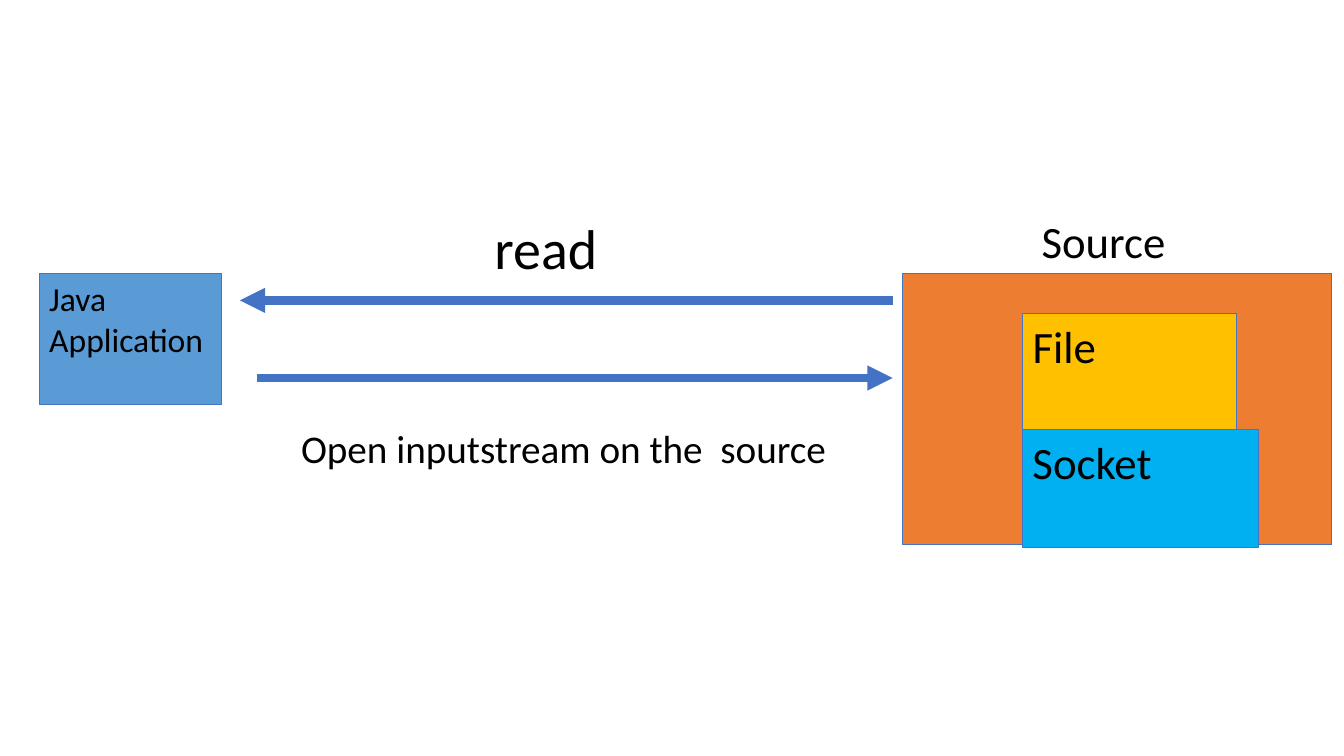
from dataclasses import dataclass

from pptx import Presentation
from pptx.dml.color import RGBColor
from pptx.enum import shapes as kinds, text as txt
from pptx.oxml.ns import qn
from pptx.slide import Slide
from pptx.util import Inches, Pt
from lxml import etree

COLORS = {
    "outline": "4472C4",
    "text": "000000",
    "source": "ED7D31",
    "file": "FFC000",
    "socket": "00B0F0",
    "application": "5B9BD5",
}
FONT = "Calibri"
FRAME_FORMAT = {
    "word_wrap": True,
    "auto_size": txt.MSO_AUTO_SIZE.NONE,
    "vertical_anchor": txt.MSO_ANCHOR.TOP,
    "margin_left": Inches(0.1),
    "margin_right": Inches(0.1),
    "margin_top": Inches(0.05),
    "margin_bottom": Inches(0.05),
}


@dataclass(frozen=True)
class Block:
    """A box with optional text; without a fill it is a plain label."""
    left: float
    top: float
    width: float
    height: float
    lines: tuple[str, ...] = ()
    size: int = 32
    fill: str | None = None


@dataclass(frozen=True)
class Arrow:
    start: float
    end: float
    y: float


BLOCKS = (
    Block(8.96, 2.71, 4.26, 2.69, fill="source"),
    Block(10.15, 3.11, 2.12, 1.17, ("File",), fill="file"),
    Block(10.15, 4.26, 2.34, 1.17, ("Socket",), fill="socket"),
    Block(10.24, 2.07, 2.73, 0.64, ("Source",)),
    Block(0.39, 2.71, 1.81, 1.3, ("Java", "Application"), 24, "application"),
    Block(4.81, 2.07, 1.49, 0.77, ("read",), 40),
    Block(2.89, 4.16, 5.56, 0.57, ("Open inputstream on the  source",), 28),
)
ARROWS = (Arrow(8.86, 2.38, 2.98), Arrow(2.55, 8.86, 3.75))


def color(name: str) -> RGBColor:
    return RGBColor.from_string(COLORS[name])


def write_lines(frame, block: Block) -> None:
    for attribute, value in FRAME_FORMAT.items():
        setattr(frame, attribute, value)
    frame.text = "\n".join(block.lines)
    for paragraph in frame.paragraphs:
        paragraph.alignment = txt.PP_ALIGN.LEFT
        for attribute, value in {"name": FONT, "size": Pt(block.size)}.items():
            setattr(paragraph.font, attribute, value)
        paragraph.font.color.rgb = color("text")


def draw_block(slide: Slide, block: Block) -> None:
    bounds = [Inches(n) for n in (block.left, block.top, block.width, block.height)]
    if block.fill:
        box = slide.shapes.add_shape(kinds.MSO_SHAPE.RECTANGLE, *bounds)
        box.shadow.inherit = False
        box.fill.solid()
        box.fill.fore_color.rgb = color(block.fill)
        box.line.color.rgb = color("outline")
        box.line.width = Pt(0.75)
    else:
        box = slide.shapes.add_textbox(*bounds)
    if block.lines:
        write_lines(box.text_frame, block)


def draw_arrow(slide: Slide, arrow: Arrow) -> None:
    ends = [Inches(n) for n in (arrow.start, arrow.y, arrow.end, arrow.y)]
    stream = slide.shapes.add_connector(kinds.MSO_CONNECTOR.STRAIGHT, *ends)
    stream.line.color.rgb = color("outline")
    stream.line.width = Pt(6)
    properties = stream._element.spPr
    etree.SubElement(properties.find(qn("a:ln")), qn("a:tailEnd"), type="triangle")
    etree.SubElement(properties, qn("a:effectLst"))


def main() -> None:
    deck = Presentation()
    deck.slide_width, deck.slide_height = Inches(13.34), Inches(7.5)
    slide = deck.slides.add_slide(deck.slide_layouts.get_by_name("Blank"))
    for block in BLOCKS:
        draw_block(slide, block)
    for arrow in ARROWS:
        draw_arrow(slide, arrow)
    deck.save("out.pptx")


if __name__ == "__main__":
    main()
